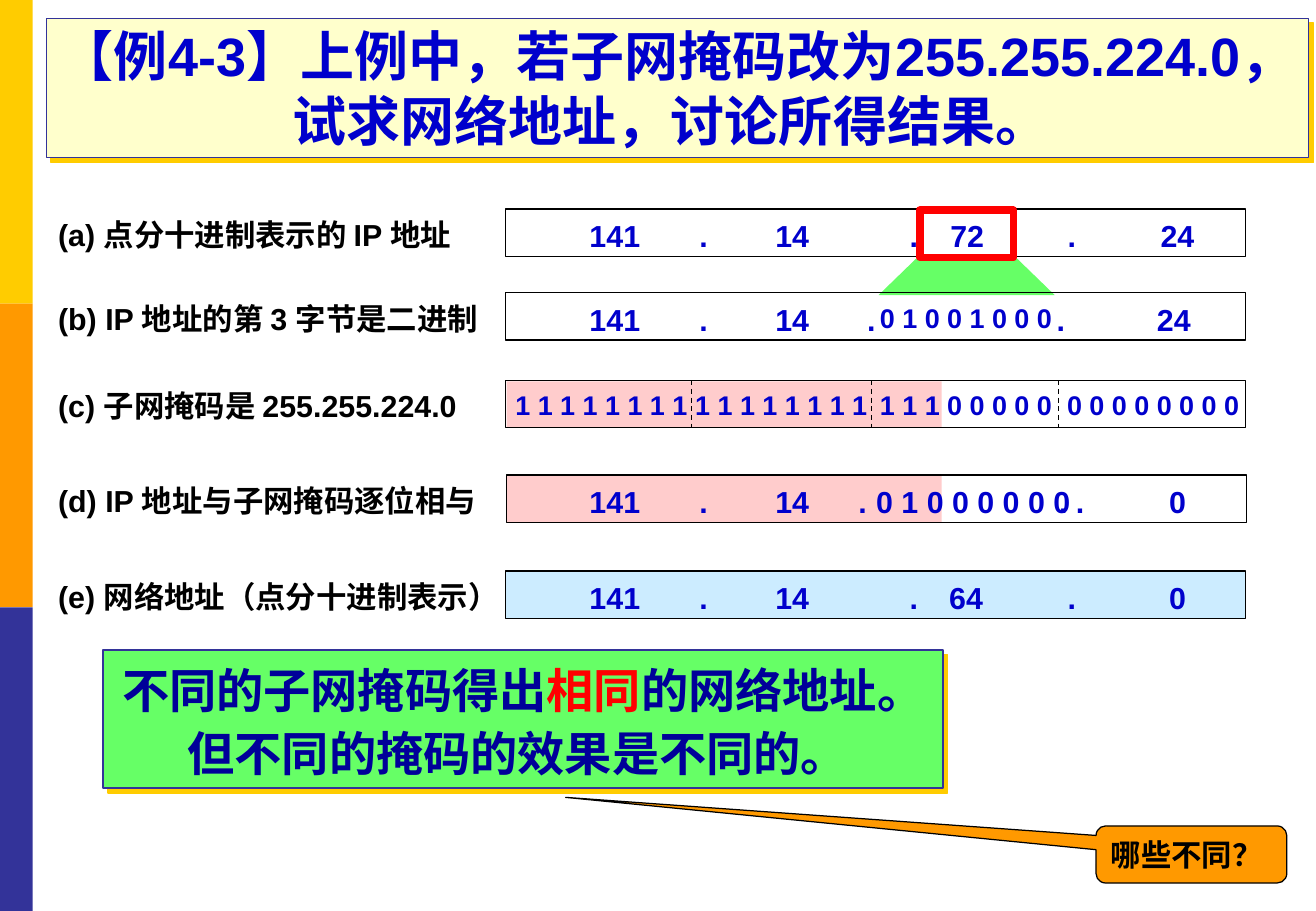
"""Build the slide on finding a network address with mask 255.255.224.0."""
import pptx
import pptx.util
import pptx.dml.color
import pptx.enum.dml
import pptx.enum.shapes
import pptx.enum.text
import pptx.oxml.ns
import lxml.etree

Inches = pptx.util.Inches
Pt = pptx.util.Pt
qn = pptx.oxml.ns.qn
hue = pptx.dml.color.RGBColor.from_string
kinds = pptx.enum.shapes.MSO_SHAPE
align = pptx.enum.text.PP_ALIGN
anchor = pptx.enum.text.MSO_ANCHOR
BLUE = "0000CC"

deck = pptx.Presentation()
deck.slide_width, deck.slide_height = Inches(10.83), Inches(7.5)
slide = deck.slides.add_slide(deck.slide_layouts[6])
items = slide.shapes


def block(kind, box, fill=None, line=None, width=0.75, glow=None):
    shape = items.add_shape(kind, *[Inches(n) for n in box])
    shape.shadow.inherit = False
    if fill:
        shape.fill.solid()
        shape.fill.fore_color.rgb = hue(fill)
    else:
        shape.fill.background()
    if line:
        shape.line.color.rgb = hue(line)
        shape.line.width = Pt(width)
    else:
        shape.line.fill.background()
    if glow:
        effect = shape.element.spPr.find(qn("a:effectLst"))
        outer = lxml.etree.SubElement(
            effect, qn("a:outerShdw"), dist=str(Pt(4)), dir="2700000", algn="ctr", rotWithShape="0")
        lxml.etree.SubElement(outer, qn("a:srgbClr"), val=glow)
    return shape


def write(shape, lines, size, side=align.CENTER, wrap=True, place=anchor.TOP, space=1.0):
    frame = shape.text_frame
    frame.word_wrap = wrap
    frame.vertical_anchor = place
    for at, runs in enumerate(lines):
        para = frame.paragraphs[0] if at == 0 else frame.add_paragraph()
        para.alignment = side
        para.line_spacing = space
        for text, color in runs:
            run = para.add_run()
            run.text = text
            run.font.name = "Arial"
            run.font.size = Pt(size)
            run.font.bold = True
            run.font.color.rgb = hue(color)


for at, color in enumerate(["FFCC00", "FF9900", "333399"]):
    block(kinds.RECTANGLE, (0, 2.5 * at, 0.27, 2.5), color)

title = block(kinds.RECTANGLE, (0.38, 0.15, 10.39, 1.15), "FFFFCC", "333399", glow="FFCC00")
write(title, [[("【例4-3】上例中，若子网掩码改为255.255.224.0，试求网络地址，讨论所得结果。 ", BLUE)]],
      32, place=anchor.BOTTOM)

for top in (3.14, 3.92):
    block(kinds.RECTANGLE, (4.17, top, 3.58, 0.38), "FFCCCC")

pen = items.build_freeform(Inches(7.57), Inches(2.1), scale=1.0)
pen.add_line_segments([(Inches(x), Inches(y)) for x, y in [(8.34, 2.1), (8.68, 2.43), (7.23, 2.43)]])
beam = pen.convert_to_shape()
beam.shadow.inherit = False
beam.fill.solid()
beam.fill.fore_color.rgb = hue("66FF66")
beam.line.fill.background()

ones, zeros = "1 1 1 1 1 1 1 1", "0 0 0 0 0 0 0 0"
head = [("141", 5.06, 18), (".", 5.79, 18), ("14", 6.52, 18)]
rows = [
    (1.72, 4.16, 3.49, None, "(a) 点分十进制表示的 IP 地址",
     head + [(".", 7.52, 18), ("72", 7.96, 18), (".", 8.82, 18), ("24", 9.69, 18)]),
    (2.41, 4.16, 3.72, None, "(b) IP 地址的第 3 字节是二进制",
     head + [(".", 7.17, 18), ("0 1 0 0 1 0 0 0", 7.95, 16), (".", 8.73, 18), ("24", 9.66, 18)]),
    (3.13, 4.16, 3.53, None, "(c) 子网掩码是 255.255.224.0",
     [(ones, 4.95, 16), (ones, 6.43, 16), ("1 1 1 0 0 0 0 0", 7.95, 16), (zeros, 9.49, 16)]),
    (3.91, 4.17, 3.69, None, "(d) IP 地址与子网掩码逐位相与",
     head + [(".", 7.1, 18), ("0 1 0 0 0 0 0 0", 8.01, 18), (". .", 8.82, 18), ("0", 9.69, 18)]),
    (4.7, 4.16, 3.88, "CCECFF", "(e) 网络地址（点分十进制表示）",
     head + [(".", 7.52, 18), ("64", 7.95, 18), (".", 8.82, 18), ("0", 9.69, 18)]),
]
for top, left, wide, fill, label, parts in rows:
    block(kinds.RECTANGLE, (left, top, 6.09, 0.39), fill, "000000")
    name = items.add_textbox(Inches(0.38), Inches(top + 0.01), Inches(wide), Inches(0.4))
    write(name, [[(label, "000000")]], 18, align.LEFT)
    for text, mid, size in parts:
        cell = items.add_textbox(Inches(mid - 0.9), Inches(top + 0.02), Inches(1.8), Inches(0.4))
        write(cell, [[(text, BLUE)]], size, wrap=False)

for x in (5.69, 7.17, 8.71):
    dash = items.add_connector(pptx.enum.shapes.MSO_CONNECTOR.STRAIGHT,
                               Inches(x), Inches(3.13), Inches(x), Inches(3.52))
    dash.line.color.rgb = hue("000000")
    dash.line.width = Pt(0.75)
    dash.line.dash_style = pptx.enum.dml.MSO_LINE.DASH
    lxml.etree.SubElement(dash.element.spPr, qn("a:effectLst"))

block(kinds.RECTANGLE, (7.57, 1.73, 0.77, 0.39), None, "FF0000", 4.5)

note = block(kinds.RECTANGLE, (0.85, 5.35, 6.91, 1.14), "66FF66", "333399", 1, "FFCC00")
write(note, [[("不同的子网掩码得出", "000099"), ("相同", "FF0000"), ("的网络地址。", "000099")],
             [("但不同的掩码的效果是不同的。 ", "000099")]], 28, wrap=False, space=1.1)

ask = block(kinds.ROUNDED_RECTANGULAR_CALLOUT, (9.02, 6.8, 1.57, 0.47), "FF9900", "000000")
for at, value in enumerate([-3.28, -1.0, 0.17]):
    ask.adjustments[at] = value
write(ask, [[("哪些不同？", "000000")]], 18, align.LEFT, place=anchor.MIDDLE)

deck.save("out.pptx")
